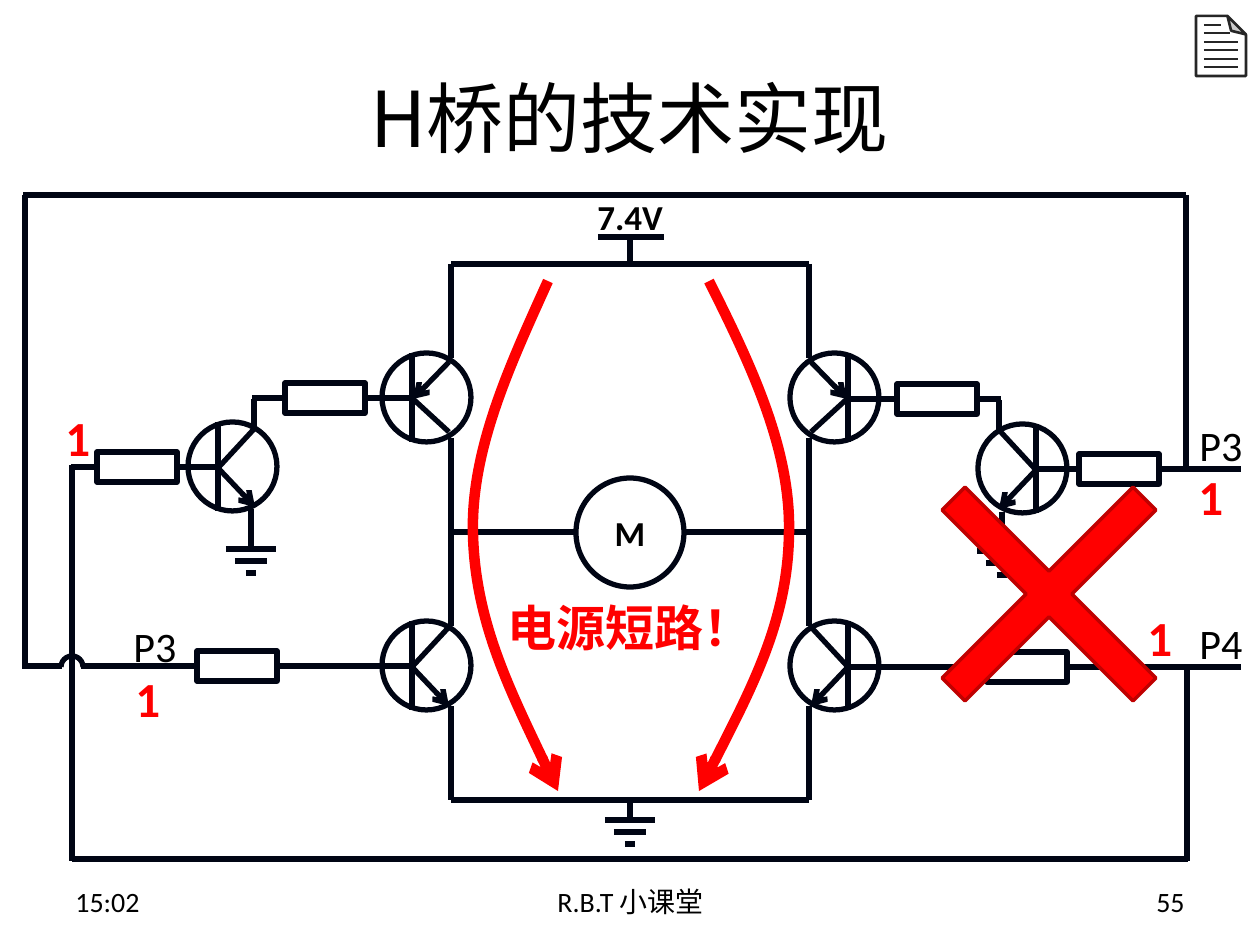
from lxml.etree import SubElement
from pptx import Presentation
from pptx.dml.color import RGBColor
from pptx.enum.shapes import MSO_CONNECTOR as Connector, MSO_SHAPE as Shape
from pptx.enum.text import MSO_ANCHOR as Anchor, MSO_AUTO_SIZE as AutoSize, PP_ALIGN as Align
from pptx.oxml.ns import qn
from pptx.util import Pt

SCALE = 914400 / 126
COLORS = {"wire": "000514", "text": "000000", "alert": "FF0000",
          "cross": "C00000", "paper": "FFFFFF", "icon": "262626"}
CENTER = 630
LEFT_SIDE, RIGHT_SIDE = 1, 3


def emu(px):
    return round(px * SCALE)


def color(name):
    return RGBColor.from_string(COLORS[name])


def style_line(line, name, width, arrow=False):
    line.color.rgb = color(name)
    line.width = Pt(width)
    if arrow:
        SubElement(line._get_or_add_ln(), qn("a:tailEnd"), type="arrow")


def add_text(slide, text, box, size, name="text", bold=False, align=Align.LEFT,
             wrap=False, anchor=Anchor.TOP, font="Calibri"):
    frame = slide.shapes.add_textbox(*map(emu, box)).text_frame
    frame.word_wrap = wrap
    frame.auto_size = AutoSize.NONE if wrap else AutoSize.SHAPE_TO_FIT_TEXT
    frame.vertical_anchor = anchor
    paragraph = frame.paragraphs[0]
    paragraph.alignment = align
    run = paragraph.add_run()
    run.text = text
    run.font.size = Pt(size)
    run.font.bold = bold
    run.font.name = font
    run.font.color.rgb = color(name)
    SubElement(run.font._element, qn("a:ea"), typeface="Noto Sans CJK SC")


def add_wire(slide, x1, y1, x2, y2, name="wire", width=3, arrow=False):
    wire = slide.shapes.add_connector(Connector.STRAIGHT, *map(emu, (x1, y1, x2, y2)))
    style_line(wire.line, name, width, arrow)
    SubElement(wire._element.spPr, qn("a:effectLst"))
    return wire


def add_outline(slide, kind, box, fill=None, name="wire", width=3):
    shape = slide.shapes.add_shape(kind, *map(emu, box))
    shape.shadow.inherit = False
    if fill:
        shape.fill.solid()
        shape.fill.fore_color.rgb = color(fill)
    else:
        shape.fill.background()
    style_line(shape.line, name, width)
    return shape


def add_resistor(slide, x, y, left_end, right_end):
    body = add_outline(slide, Shape.RECTANGLE, (x - 40, y - 15, 80, 30))
    add_wire(slide, left_end, y, x - 40, y).end_connect(body, LEFT_SIDE)
    add_wire(slide, x + 40, y, right_end, y).begin_connect(body, RIGHT_SIDE)


def add_transistor(slide, x, y, side, pnp=False):
    add_outline(slide, Shape.OVAL, (x - 44, y - 45, 89, 89))
    base = x + side * 14
    outer = x - side * 23
    add_wire(slide, base, y - 45, base, y + 44)
    if pnp:
        add_wire(slide, outer, y - 36, base - side, y + 1, arrow=True)
        add_wire(slide, outer, y + 34, base, y)
    else:
        add_wire(slide, base - side, y + 2, outer, y + 40, arrow=True)
        add_wire(slide, outer, y - 39, base, y + 1)


def add_ground(slide, x, top, y):
    add_wire(slide, x, top, x, y)
    for row, half in enumerate((25, 16, 5)):
        add_wire(slide, x - half, y + row * 12, x + half, y + row * 12)


def add_current(slide, start, points):
    builder = slide.shapes.build_freeform(*start, scale=SCALE)
    builder.add_line_segments(points, close=False)
    shape = builder.convert_to_shape()
    shape.shadow.inherit = False
    shape.fill.background()
    style_line(shape.line, "alert", 6, arrow=True)
    path = next(shape._element.iter(qn("a:path")))
    segments = path.findall(qn("a:lnTo"))
    for index in range(0, len(segments), 3):
        curve = SubElement(path, qn("a:cubicBezTo"))
        for segment in segments[index:index + 3]:
            curve.append(segment[0])
            path.remove(segment)


def add_bridge(slide):
    add_wire(slide, 598, 237, 664, 237)
    add_wire(slide, CENTER, 237, CENTER, 264)
    add_text(slide, "7.4V", (585, 189, 92, 55), 20, bold=True)
    add_ground(slide, CENTER, 800, 820)
    for side in (-1, 1):
        x = CENTER + side * 179
        for y in (264, 800):
            add_wire(slide, CENTER, y, x, y)
        for top, bottom in ((264, 358), (438, 626), (706, 800)):
            add_wire(slide, x, top, x, bottom)
        add_wire(slide, x, 532, CENTER + side * 54, 532)
        add_transistor(slide, CENTER + side * 204, 398, side, pnp=True)
        add_transistor(slide, CENTER + side * 204, 666, side)
    add_outline(slide, Shape.OVAL, (576, 478, 108, 109))
    add_text(slide, "M", (601, 505, 58, 55), 20, bold=True, align=Align.CENTER)


def add_drivers(slide):
    add_transistor(slide, 232, 467, -1)
    add_transistor(slide, 1022, 469, 1)
    for resistor in ((325, 398, 252, 411), (237, 666, 81, 411), (137, 467, 71, 215),
                     (937, 399, 849, 1001), (1027, 667, 850, 1241), (1119, 469, 1038, 1241)):
        add_resistor(slide, *resistor)
    add_ground(slide, 251, 509, 549)
    add_ground(slide, 1002, 512, 551)
    for wire in ((254, 399, 254, 430), (999, 400, 999, 432), (72, 465, 72, 861),
                 (62, 666, 22, 666), (25, 195, 25, 667), (1186, 195, 23, 195),
                 (1186, 195, 1186, 471), (1188, 859, 72, 859), (1187, 669, 1187, 861)):
        add_wire(slide, *wire)
    hop = add_outline(slide, Shape.ARC, (61, 656, 22, 22))
    hop.adjustments[0] = 108
    hop.adjustments[1] = 0


def add_signals(slide):
    for label, x, y in (("P3", 1187, 413), ("P4", 1187, 611), ("P3", 121, 614)):
        add_text(slide, label, (x, y, 69, 63), 24)
    for x, y in ((1135, 601), (53, 401), (1186, 460), (123, 662)):
        add_text(slide, "1", (x, y, 50, 72), 28, name="alert", bold=True)


def add_short_circuit(slide):
    add_text(slide, "电源短路！", (495, 591, 273, 72), 28, name="alert", bold=True)
    cross = add_outline(slide, Shape.CROSS, (914, 459, 270, 270), "alert", "cross", 2)
    cross.adjustments[0] = 0.44
    cross.rotation = 45
    add_current(slide, (548, 281), [(510, 365), (471, 449), (473, 533),
                                    (475, 619), (517, 706), (558, 791)])
    add_current(slide, (709, 281), [(751, 365), (791, 449), (789, 533),
                                    (788, 619), (743, 706), (699, 791)])


def add_page_icon(slide):
    page = add_outline(slide, Shape.FOLDED_CORNER, (1196, 16, 50, 60), "paper", "icon", 1.5)
    guides = next(page._element.iter(qn("a:avLst")))
    SubElement(guides, qn("a:gd"), name="adj", fmla="val 37000")
    page._element.spPr.xfrm.set("flipV", "1")
    for row, length in enumerate((17, 26, 34, 34, 34, 34)):
        y = 25 + round(row * 8.4)
        add_wire(slide, 1204, y, 1204 + length, y, "icon", 1)


def main():
    presentation = Presentation()
    presentation.slide_width = emu(1260)
    presentation.slide_height = emu(945)
    slide = presentation.slides.add_slide(presentation.slide_layouts[6])
    add_text(slide, "H桥的技术实现", (63, 38, 1134, 158), 44, align=Align.CENTER,
             wrap=True, anchor=Anchor.MIDDLE, font="Noto Sans CJK SC")
    for text, x, width, align in (("15:02", 63, 294, Align.LEFT),
                                  ("R.B.T 小课堂", 431, 399, Align.CENTER),
                                  ("55", 903, 294, Align.RIGHT)):
        add_text(slide, text, (x, 876, width, 50), 16, align=align,
                 wrap=True, anchor=Anchor.MIDDLE)
    add_bridge(slide)
    add_drivers(slide)
    add_signals(slide)
    add_short_circuit(slide)
    add_page_icon(slide)
    presentation.save("out.pptx")


if __name__ == "__main__":
    main()
